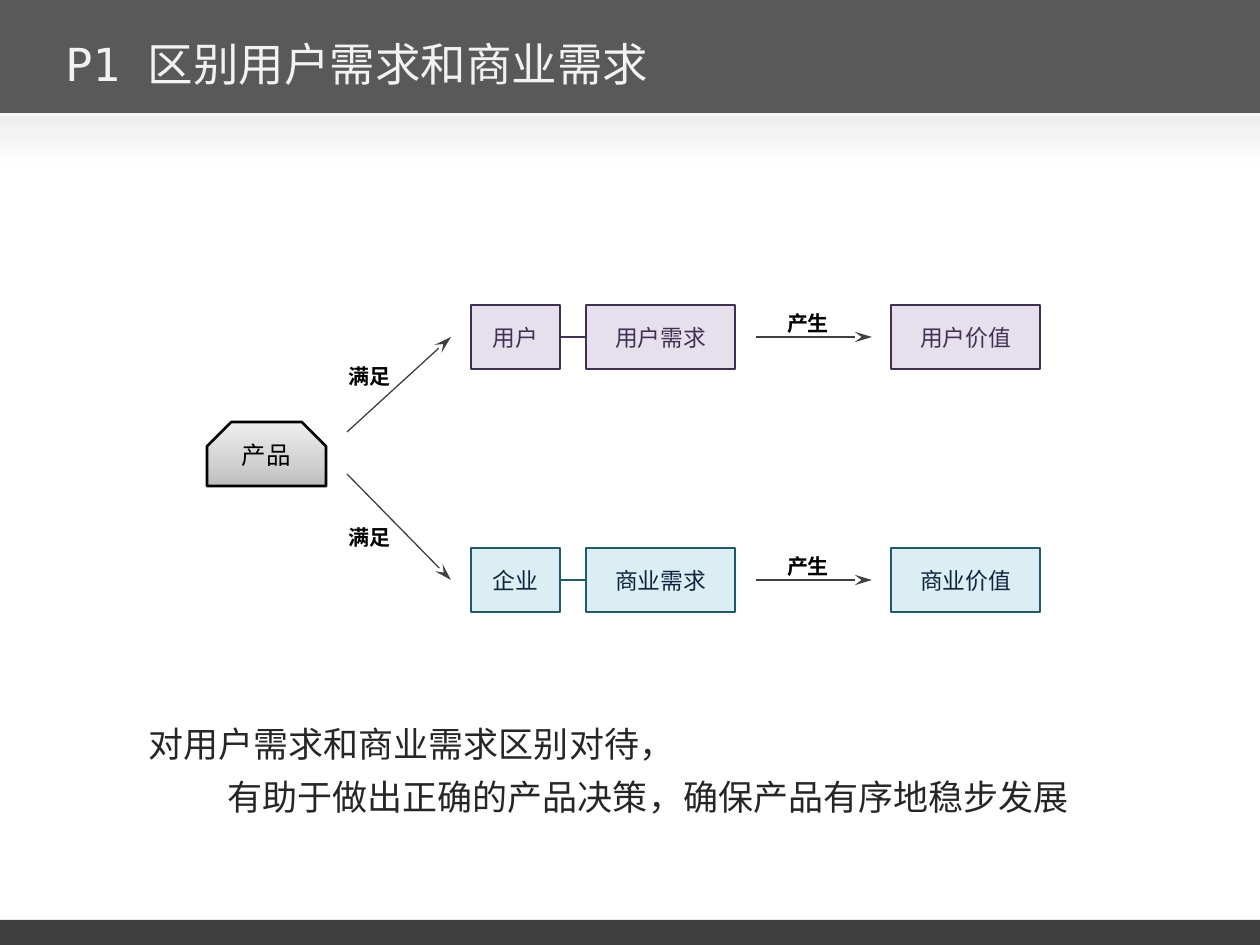
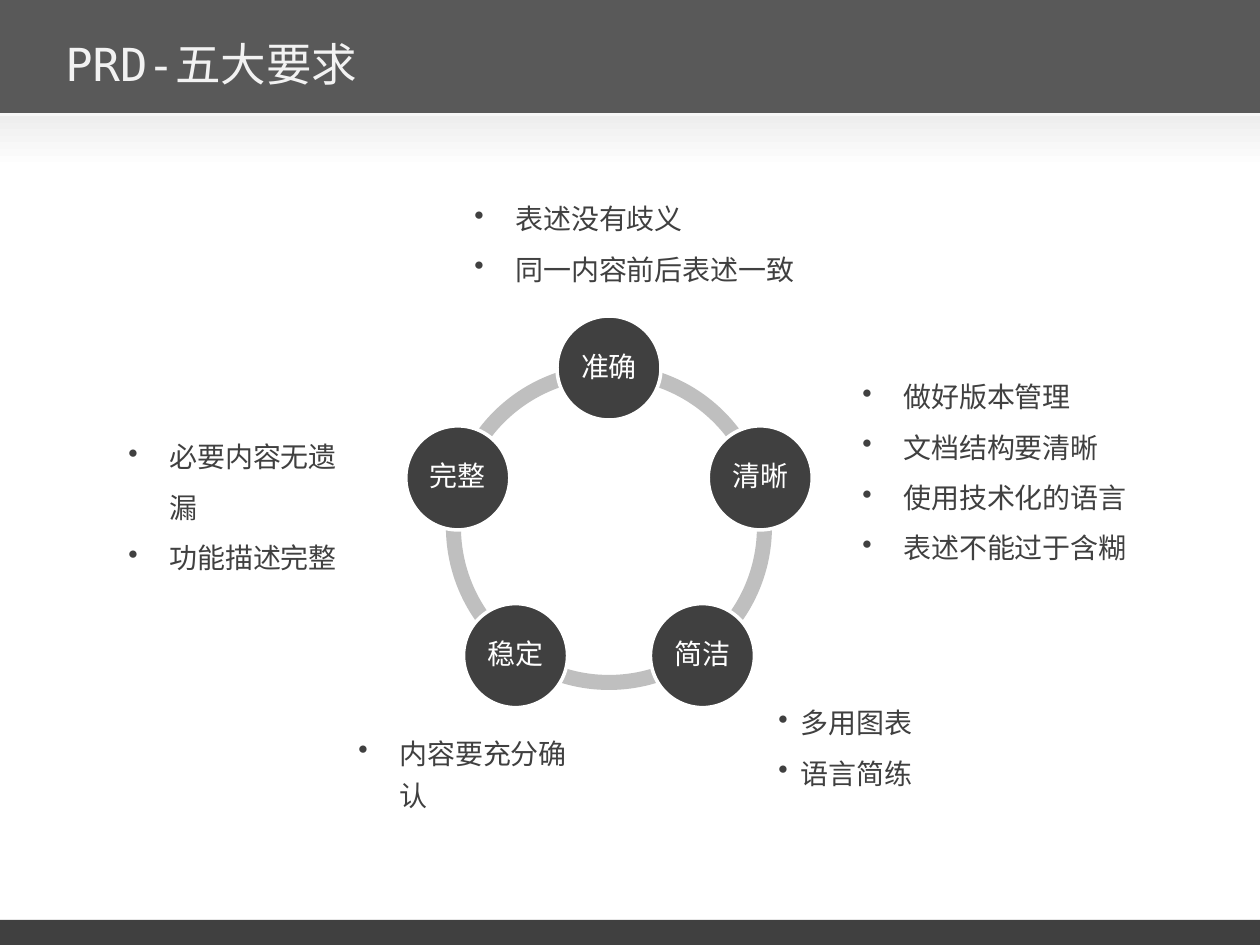
from math import cos, radians, sin

from lxml import etree
from pptx import Presentation
from pptx.dml.color import RGBColor
from pptx.enum.shapes import MSO_CONNECTOR, MSO_SHAPE
from pptx.enum.text import MSO_ANCHOR, PP_ALIGN
from pptx.oxml.ns import qn
from pptx.util import Emu, Pt

RECT, OVAL = MSO_SHAPE.RECTANGLE, MSO_SHAPE.OVAL
SNIP, ARC = MSO_SHAPE.SNIP_2_SAME_RECTANGLE, MSO_SHAPE.BLOCK_ARC
LINE = MSO_CONNECTOR.STRAIGHT
TOP, MID = MSO_ANCHOR.TOP, MSO_ANCHOR.MIDDLE
LEFT, MIDST = PP_ALIGN.LEFT, PP_ALIGN.CENTER
SCALE = 914400 / 126
WIDE, HIGH = 1260, 945
SANS, MONO = "Noto Sans CJK SC", "DejaVu Sans Mono"
HUES = {
    "white": "FFFFFF", "black": "000000", "pale": "F7F7F7", "dark": "404040",
    "band": "595959", "mist": "EEEEEE", "title": "F2F2F2", "ink": "262626",
    "ring": "BFBFBF", "steel": "BDBDBD", "silver": "D1D1D1",
    "lilac": "E6E0EC", "plum": "403152",
    "sky": "DBEEF4", "teal": "215968", "navy": "0F243E",
}


def px(size):
    """Turn pixels into EMU."""
    return Emu(round(size * SCALE))


def hue(name):
    """Look up a colour."""
    return RGBColor.from_string(HUES[name])


def blend(shape, stops, angle):
    """Fill a shape with a linear gradient of (percent, colour) stops."""
    shape.fill.gradient()
    shape.fill.gradient_angle = angle
    stack = shape._element.spPr.find(".//" + qn("a:gsLst"))
    for old in list(stack):
        stack.remove(old)
    for place, name in stops:
        stop = etree.SubElement(stack, qn("a:gs"), pos=str(place * 1000))
        etree.SubElement(stop, qn("a:srgbClr"), val=HUES[name])


def write(shape, lines, size, tint, font=SANS, bold=None, align=LEFT,
          anchor=TOP, space=None):
    """Fill a shape with evenly styled paragraphs."""
    frame = shape.text_frame
    frame.word_wrap = True
    frame.vertical_anchor = anchor
    frame.text = "\n".join(lines)
    for para in frame.paragraphs:
        para.alignment = align
        para.line_spacing = space
        para.font.size = Pt(size)
        para.font.name = font
        para.font.bold = bold
        para.font.color.rgb = hue(tint)
    return frame.paragraphs


def form(slide, kind, box, fill=None, edge=None, weight=1.5):
    """Add a flat preset shape."""
    shape = slide.shapes.add_shape(kind, *map(px, box))
    shape.shadow.inherit = False
    if fill:
        shape.fill.solid()
        shape.fill.fore_color.rgb = hue(fill)
    if edge:
        shape.line.color.rgb = hue(edge)
        shape.line.width = Pt(weight)
    else:
        shape.line.fill.background()
    return shape


def note(slide, box, lines, size, tint, **style):
    """Add a text box."""
    return write(slide.shapes.add_textbox(*map(px, box)), lines, size, tint,
                 **style)


def rule(slide, start, end, tint, weight):
    """Add a straight line without a shadow."""
    line = slide.shapes.add_connector(LINE, *map(px, start + end))
    line.line.color.rgb = hue(tint)
    line.line.width = Pt(weight)
    etree.SubElement(line._element.spPr, qn("a:effectLst"))
    return line


def arrow(slide, start, end):
    """Add a thin line with a long stealth head."""
    line = rule(slide, start, end, "dark", 0.75)
    etree.SubElement(line.line._get_or_add_ln(), qn("a:tailEnd"),
                     type="stealth", w="med", len="lg")


def page(deck, title):
    """Add a slide with its bands and title."""
    slide = deck.slides.add_slide(deck.slide_layouts[6])
    form(slide, RECT, (0, 0, WIDE, 126), "pale")
    form(slide, RECT, (0, 920, WIDE, HIGH - 920), "dark")
    form(slide, RECT, (0, 0, WIDE, 113), "band")
    fade = form(slide, RECT, (0, 116, WIDE, 53))
    blend(fade, ((0, "mist"), (100, "white")), 270)
    note(slide, (53, 21, 1018, 84), [title], 26, "title", font=MONO, anchor=MID)
    return slide


def chain(slide, box, words, fill, edge, tint):
    """Draw one row: who, need, and the value it yields."""
    left, top, width, high = box
    spots = ((0, 89), (115, 149), (width - 149, 149))
    cells = []
    for word, (shift, span) in zip(words, spots):
        cell = form(slide, RECT, (left + shift, top, span, high), fill, edge)
        write(cell, [word], 13, tint, align=MIDST, anchor=MID)
        cells.append(cell)
    mid = top + high // 2
    link = rule(slide, (left + 89, mid), (left + 115, mid), edge, 1.5)
    link.begin_connect(cells[0], 3)
    link.end_connect(cells[1], 1)
    arrow(slide, (left + 285, mid), (left + 401, mid))
    note(slide, (left + 295, top - 1, 84, 38), ["产生"], 12, "black",
         bold=True, align=MIDST)


def needs(slide, box):
    """Draw the product and the two rows of needs it meets."""
    left, top, width, high = box
    core = form(slide, SNIP, (left, top + 117, 119, 64), edge="black")
    core.adjustments[0] = 0.38
    blend(core, ((0, "steel"), (35, "silver"), (100, "mist")), 90)
    write(core, ["产品"], 14, "black", align=MIDST)
    rows = (
        (0, 127, 52, ("用户", "用户需求", "用户价值"), "lilac", "plum", "plum"),
        (high - 64, 169, 213, ("企业", "商业需求", "商业价值"),
         "sky", "teal", "navy"),
    )
    for drop, start, label, words, *tones in rows:
        chain(slide, (left + 264, top + drop, width - 264, 64), words, *tones)
        arrow(slide, (left + 140, top + start), (left + 244, top + drop + 32))
        note(slide, (left + 129, top + label, 84, 38), ["满足"], 12, "black",
             bold=True)


def moral(slide, box):
    """Write the closing statement, its second line set in."""
    lines = ["对用户需求和商业需求区别对待，",
             "有助于做出正确的产品决策，确保产品有序地稳步发展"]
    paras = note(slide, box, lines, 20, "ink", space=1.25)
    paras[1]._p.get_or_add_pPr().set("marL", str(px(79)))


def wheel(slide, box, words):
    """Draw a ring with evenly spaced round nodes, clockwise from the top."""
    left, top, size, _ = box
    half, orbit, disc = size / 2, 159, 104
    step = 360 / len(words)
    turns = [(270 + step * i) % 360 for i in range(len(words))]
    for turn in turns:
        arc = form(slide, ARC, box, "ring")
        for i, value in enumerate((turn, (turn + step) % 360)):
            arc.adjustments[i] = value * 0.6
        arc.adjustments[2] = 0.046
    for word, turn in zip(words, turns):
        x = left + half + orbit * cos(radians(turn)) - disc / 2
        y = top + half + orbit * sin(radians(turn)) - disc / 2
        node = form(slide, OVAL, (x, y, disc, disc), "dark", "white", 2)
        write(node, [word], 16, "white", align=MIDST, anchor=MID, space=0.9)
        frame = node.text_frame
        frame.margin_left = frame.margin_right = px(2)
        frame.margin_top = frame.margin_bottom = px(2)


def points(slide, box, lines, hang=41, space=1.5):
    """Write a bulleted list with a hanging indent."""
    paras = note(slide, box, lines, 16, "dark", space=space)
    for para in paras:
        props = para._p.get_or_add_pPr()
        props.set("marL", str(px(hang)))
        props.set("indent", str(-px(hang)))
        dot = etree.Element(qn("a:buChar"), char="•")
        props.find(qn("a:defRPr")).addprevious(dot)
    return paras


def main():
    """Build both slides."""
    deck = Presentation()
    deck.slide_width, deck.slide_height = px(WIDE), px(HIGH)

    slide = page(deck, "P1 区别用户需求和商业需求")
    needs(slide, (207, 305, 833, 307))
    moral(slide, (136, 706, 1018, 118))

    slide = page(deck, "PRD-五大要求")
    wheel(slide, (446, 364, 326, 326), ("准确", "清晰", "简洁", "稳定", "完整"))
    points(slide, (116, 417, 252, 108), ["必要内容无遗漏", "功能描述完整"])
    points(slide, (850, 357, 305, 217),
           ["做好版本管理", "文档结构要清晰", "使用技术化的语言", "表述不能过于含糊"])
    points(slide, (462, 179, 357, 115), ["表述没有歧义", "同一内容前后表述一致"])
    points(slide, (766, 683, 199, 108), ["多用图表", "语言简练"], hang=22)
    last = points(slide, (346, 722, 252, 55), ["内容要充分确认"], space=1.25)
    last[0].space_before, last[0].space_after = Pt(12), Pt(4)

    deck.save("out.pptx")


if __name__ == "__main__":
    main()
